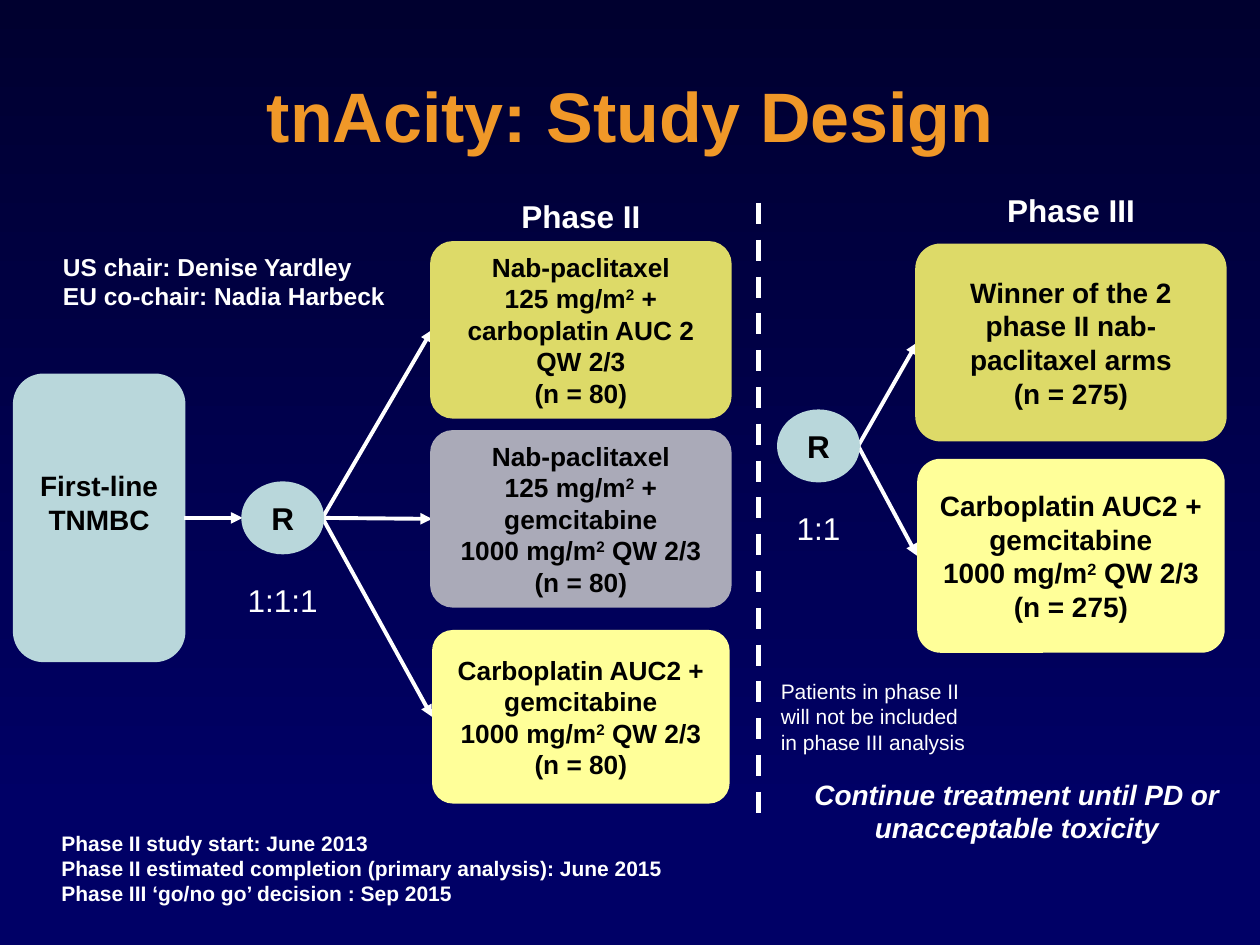
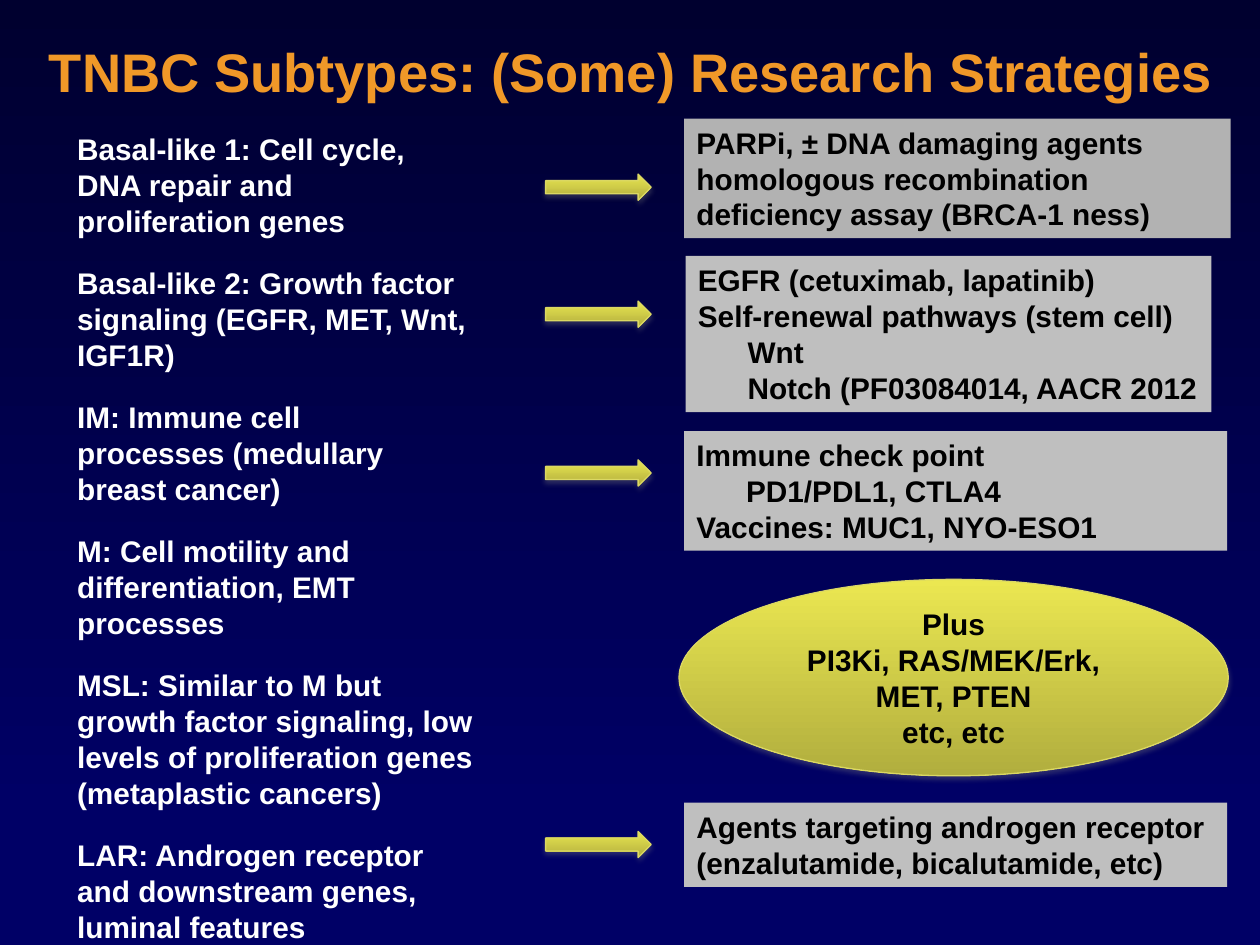
from lxml.etree import SubElement
from pptx import Presentation
from pptx.dml.color import RGBColor
from pptx.enum.dml import MSO_LINE
from pptx.enum.shapes import MSO_CONNECTOR, MSO_SHAPE
from pptx.enum.text import MSO_ANCHOR, MSO_AUTO_SIZE, PP_ALIGN
from pptx.oxml.ns import qn
from pptx.util import Cm, Pt

FONT = "Arial"
HUES = {
    "night": "00002F", "navy": "000066", "title": "F09828",
    "white": "FFFFFF", "black": "000000", "shade": "808080",
    "olive": "DDDA68", "slate": "AAAAB8", "lemon": "FFFF99", "ice": "B9D7DB",
    "ash": "B2B2B2", "silver": "BFBFBF",
    "gold": "EBE751", "moss": "B1AE3E", "rim": "DBD863",
}
GEM = "gemcitabine\n1000 mg/m^2^ QW 2/3\n(n = "
SUBTYPES = [
    "Basal-like 1: Cell cycle,\nDNA repair and\nproliferation genes",
    "Basal-like 2: Growth factor\nsignaling (EGFR, MET, Wnt,\nIGF1R)",
    "IM: Immune cell\nprocesses (medullary\nbreast cancer)",
    "M: Cell motility and\ndifferentiation, EMT\nprocesses",
    "MSL: Similar to M but\ngrowth factor signaling, low\nlevels of proliferation genes\n(metaplastic cancers)",
    "LAR: Androgen receptor\nand downstream genes,\nluminal features",
]
AGENTS = [
    ((13.79, 2.39, 11.02, 2.41), 3.51, "ash",
     "PARPi, ± DNA damaging agents\nhomologous recombination\ndeficiency assay (BRCA-1 ness)"),
    ((13.82, 5.16, 10.6, 3.15), 6.07, "silver",
     "EGFR (cetuximab, lapatinib)\nSelf-renewal pathways (stem cell)\n>Wnt\n>Notch (PF03084014, AACR 2012"),
    ((13.79, 8.69, 10.95, 2.41), 9.27, "silver",
     "Immune check point\n>PD1/PDL1, CTLA4\nVaccines: MUC1, NYO-ESO1"),
    ((13.79, 16.18, 10.95, 1.7), 16.76, "silver",
     "Agents targeting androgen receptor (enzalutamide, bicalutamide, etc)"),
]


def rgb(name):
    """Look up a colour."""
    return RGBColor.from_string(HUES[name])


def cms(*nums):
    """Turn numbers into centimetre lengths."""
    return [Cm(num) for num in nums]


def fade(fill, top, low, end=1.0):
    """Fill from top to bottom with two colours."""
    fill.gradient()
    fill.gradient_angle = 270
    for stop, name, place in zip(fill.gradient_stops, (top, low), (0, end)):
        stop.color.rgb = rgb(name)
        stop.position = place


def cast(node, blur, dist, angle, name, alpha):
    """Add an outer shadow to an effect list."""
    glow = SubElement(node, qn("a:outerShdw"), blurRad=str(Pt(blur)),
                      dist=str(Pt(dist)), dir=str(angle * 60000), rotWithShape="0")
    tint = SubElement(glow, qn("a:srgbClr"), val=HUES[name])
    SubElement(tint, qn("a:alpha"), val=str(alpha * 1000))


def style(para, size, hue, bold=True, italic=False, align=PP_ALIGN.LEFT):
    """Set the alignment and font of a paragraph."""
    para.alignment = align
    font = para.font
    font.name, font.size, font.bold, font.italic = FONT, Pt(size), bold, italic
    font.color.rgb = rgb(hue)


def write(frame, text, size, hue, **look):
    """Write lines, where ^ marks superscript and > an indent."""
    frame.word_wrap = True
    for num, line in enumerate(text.split("\n")):
        para = frame.add_paragraph() if num else frame.paragraphs[0]
        if line.startswith(">"):
            para._p.get_or_add_pPr().set("marL", str(Cm(1)))
        for odd, part in enumerate(line.lstrip(">").split("^")):
            run = para.add_run()
            run.text = part
            if odd % 2:
                run._r.get_or_add_rPr().set("baseline", "30000")
        style(para, size, hue, **look)


def label(slide, box, text, size, **look):
    """Add white text without a frame."""
    frame = slide.shapes.add_textbox(*cms(*box)).text_frame
    write(frame, text, size, "white", **look)


def block(slide, kind, box, hue, edge=None):
    """Add a plain shape, with an edge of its own colour if asked."""
    shape = slide.shapes.add_shape(kind, *cms(*box))
    shape.shadow.inherit = False
    shape.fill.solid()
    shape.fill.fore_color.rgb = rgb(hue)
    if edge:
        shape.line.color.rgb = rgb(hue)
        shape.line.width = Pt(edge)
    else:
        shape.line.fill.background()
    return shape


def card(slide, box, hue, text, size, edge=None, curve=0.12):
    """Add a rounded box with centred text."""
    shape = block(slide, MSO_SHAPE.ROUNDED_RECTANGLE, box, hue, edge)
    shape.adjustments[0] = curve
    write(shape.text_frame, text, size, "black", align=PP_ALIGN.CENTER)
    return shape


def gilt(slide, kind, box):
    """Add a golden shape with a soft shadow."""
    shape = block(slide, kind, box, "rim", 0.75)
    fade(shape.fill, "gold", "moss")
    cast(shape._element.spPr.find(qn("a:effectLst")), 3, 1.8, 90, "shade", 35)
    return shape


def link(slide, start, end, width=2.25, dash=False):
    """Draw a white arrow, or a dashed rule."""
    line = slide.shapes.add_connector(MSO_CONNECTOR.STRAIGHT, *cms(*start, *end))
    line.line.color.rgb = rgb("white")
    line.line.width = Pt(width)
    props = line._element.spPr
    if dash:
        line.line.dash_style = MSO_LINE.DASH
    else:
        SubElement(props.find(qn("a:ln")), qn("a:tailEnd"), type="triangle")
    SubElement(props, qn("a:effectLst"))


def head(slide, box, text, size):
    """Place the slide title."""
    title = slide.shapes.title
    title.left, title.top, title.width, title.height = cms(*box)
    frame = title.text_frame
    frame.auto_size = MSO_AUTO_SIZE.NONE
    frame.vertical_anchor = MSO_ANCHOR.MIDDLE
    write(frame, text, size, "title", align=PP_ALIGN.CENTER)
    return frame.paragraphs[0]


def phase(slide, box, name, rise, mid, ratio, arms, tall, wide, size):
    """Draw a randomisation node, its ratio and its arms."""
    left, top, width = box
    hub = top + mid
    side = left + width - wide
    label(slide, (side, top - rise, wide, 1.02), name, 18, align=PP_ALIGN.CENTER)
    for drop, hue, edge, text in arms:
        link(slide, (left + 1.6, hub), (side, top + drop + tall / 2))
        card(slide, (side, top + drop, wide, tall), hue, text, size, edge)
    node = block(slide, MSO_SHAPE.OVAL, (left, hub - 0.7, 1.6, 1.4), "ice", 2)
    write(node.text_frame, "R", 18, "black", align=PP_ALIGN.CENTER)
    label(slide, (left - 0.3, hub + 1.14, 2.2, 1.02), ratio, 18, bold=False,
          align=PP_ALIGN.CENTER)


def entry(slide, box):
    """Draw the patient group and its arrow."""
    left, top, width, height = box
    group = card(slide, box, "ice", "First-line TNMBC", 16, 2.25, 0.17)
    group.text_frame.margin_bottom = Cm(0.75)
    mid = top + height / 2
    link(slide, (left + width, mid), (left + width + 1.19, mid))


def design(deck):
    """Build the study design slide."""
    slide = deck.slides.add_slide(deck.slide_layouts[5])
    para = head(slide, (1.3, 0.97, 22.81, 2.95), "tnAcity: Study Design", 40)
    para.line_spacing = 0.85
    props = para.runs[0]._r.get_or_add_rPr()
    cast(SubElement(props, qn("a:effectLst")), 0, 3, 45, "black", 100)
    entry(slide, (0.3, 7.57, 3.4, 5.74))
    phase(slide, (4.9, 4.9, 9.81), "Phase II", 1.06, 5.54, "1:1:1", [
        (0, "olive", 2.25, "Nab-paclitaxel\n125 mg/m^2^ + carboplatin AUC 2 QW 2/3\n(n = 80)"),
        (3.81, "slate", 2.25, "Nab-paclitaxel\n125 mg/m^2^ + " + GEM + "80)"),
        (7.8, "lemon", None, "Carboplatin AUC2 + " + GEM + "80)"),
    ], 3.5, 6, 15)
    phase(slide, (15.7, 4.95, 8.99), "Phase III", 1.22, 4.04, "1:1", [
        (0, "olive", 2.25, "Winner of the 2 phase II nab-paclitaxel arms\n(n = 275)"),
        (4.3, "lemon", None, "Carboplatin AUC2 + " + GEM + "275)"),
    ], 3.91, 6.2, 16)
    link(slide, (15.29, 4.09), (15.29, 16.54), 3, True)
    label(slide, (1.02, 4.95, 7.6, 1.45),
          "US chair: Denise Yardley\nEU co-chair: Nadia Harbeck", 14)
    label(slide, (15.49, 13.56, 4.39, 2.29),
          "Patients in phase II will not be included in phase III analysis", 12, bold=False)
    label(slide, (15.7, 15.54, 9.6, 1.63),
          "Continue treatment until PD or unacceptable toxicity", 16,
          italic=True, align=PP_ALIGN.CENTER)
    label(slide, (0.99, 16.61, 17.3, 1.78),
          "Phase II study start: June 2013\n"
          "Phase II estimated completion (primary analysis): June 2015\n"
          "Phase III ‘go/no go’ decision : Sep 2015", 12)


def listing(slide, box):
    """Fill the body with the subtypes, spaced apart."""
    body = slide.placeholders[1]
    body.left, body.top, body.width, body.height = cms(*box)
    frame = body.text_frame
    frame.auto_size = MSO_AUTO_SIZE.NONE
    frame.word_wrap = True
    rows = [(line, num and not spot) for num, kind in enumerate(SUBTYPES)
            for spot, line in enumerate(kind.split("\n"))]
    for num, (line, first) in enumerate(rows):
        para = frame.add_paragraph() if num else frame.paragraphs[0]
        para.text = line
        props = para._p.get_or_add_pPr()
        props.set("marL", "0")
        props.set("indent", "0")
        SubElement(props, qn("a:buNone"))
        para.space_before = Pt(15.4 if first else 0)
        style(para, 17, "white")


def agent(slide, box, level, hue, text):
    """Draw a strategy box and the arrow that leads to it."""
    gilt(slide, MSO_SHAPE.RIGHT_ARROW, (11, level, 2.13, 0.53))
    shape = block(slide, MSO_SHAPE.RECTANGLE, box, hue)
    frame = shape.text_frame
    frame.vertical_anchor = MSO_ANCHOR.TOP
    frame.margin_right = 0
    write(frame, text, 17, "black")


def research(deck):
    """Build the research strategies slide."""
    slide = deck.slides.add_slide(deck.slide_layouts[1])
    head(slide, (0, 0.64, 25.4, 1.57), "TNBC Subtypes: (Some) Research Strategies", 31)
    listing(slide, (1.3, 2.51, 9, 16.2))
    for row in AGENTS:
        agent(slide, *row)
    plus = gilt(slide, MSO_SHAPE.OVAL, (13.69, 11.68, 11.07, 3.96))
    write(plus.text_frame, "Plus\nPI3Ki, RAS/MEK/Erk,\nMET, PTEN\netc, etc", 17,
          "black", align=PP_ALIGN.CENTER)


def main():
    """Build and save the deck."""
    deck = Presentation()
    deck.slide_width, deck.slide_height = cms(25.4, 19.05)
    fade(deck.slide_master.background.fill, "night", "navy", 0.86)
    design(deck)
    research(deck)
    deck.save("out.pptx")


if __name__ == "__main__":
    main()
